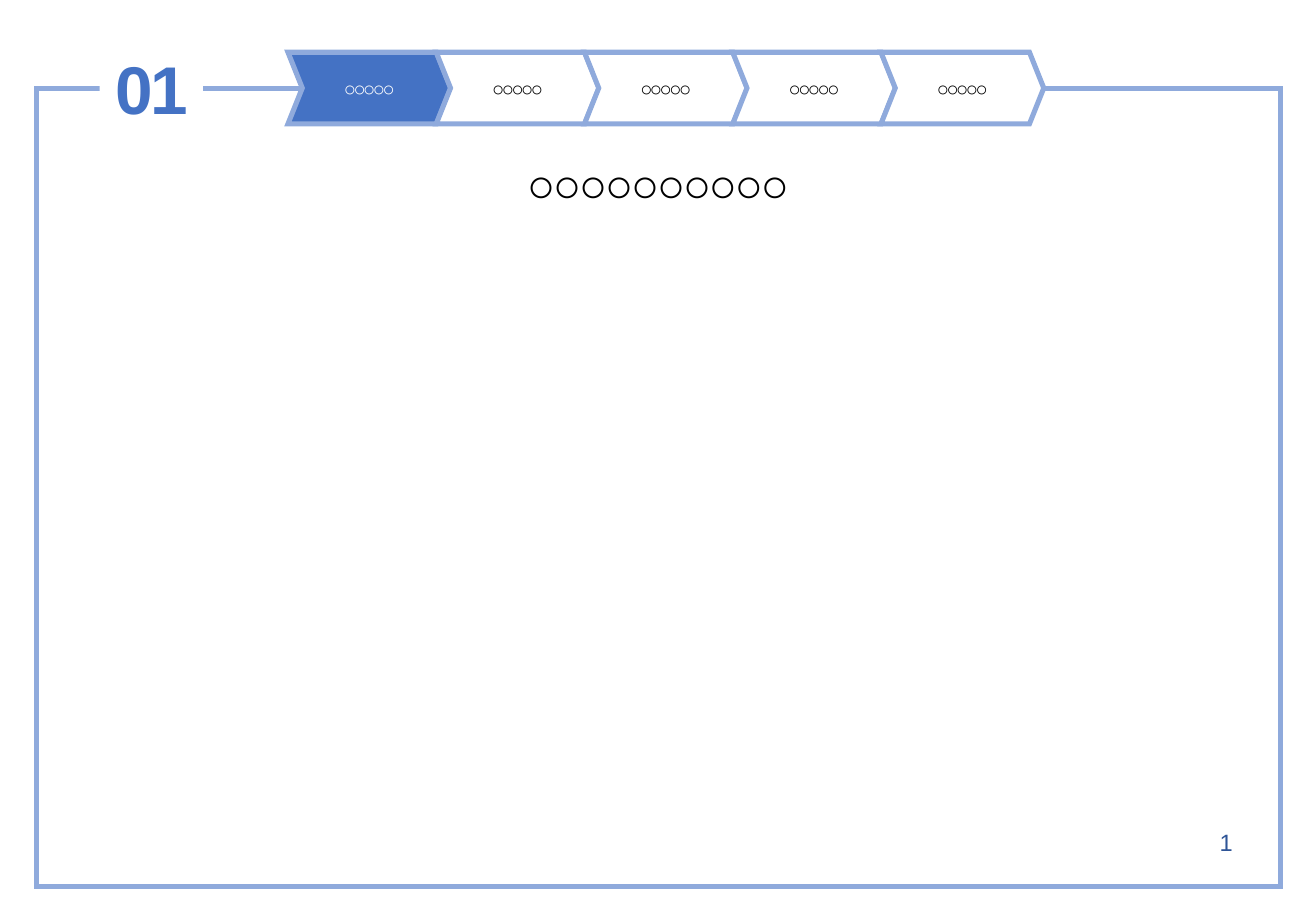
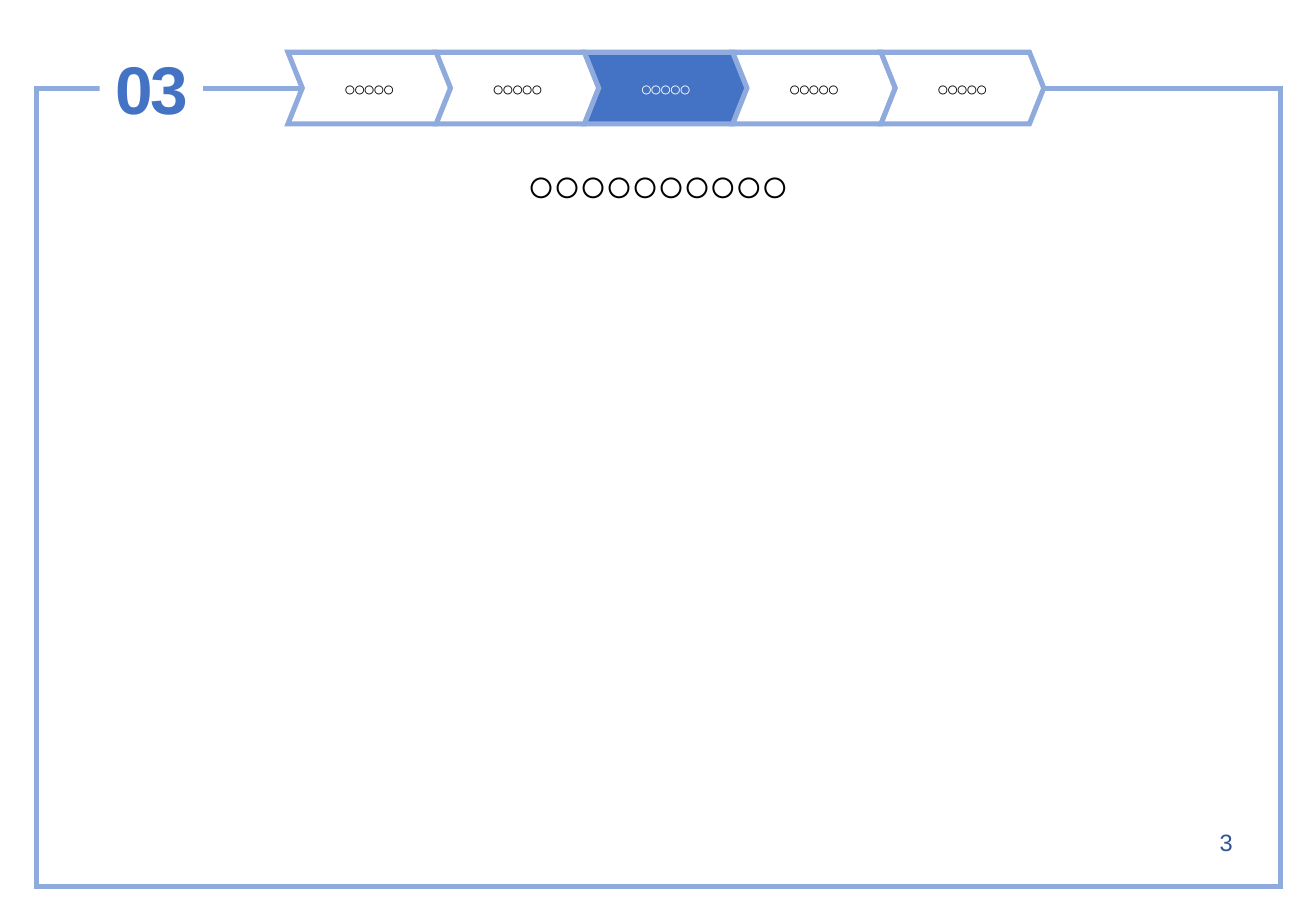
"""Build two section slides with a five-step progress band."""
from dataclasses import dataclass

import pptx
import pptx.dml.color
import pptx.enum.shapes
import pptx.enum.text
import pptx.oxml
import pptx.oxml.ns
import pptx.util

EMU_PER_PX = 9144
FONT = "Arial"
WHITE, BLACK = "FFFFFF", "000000"
ACCENT, OUTLINE, FOOTER = "4472C4", "8FAADC", "2F5597"
STEPS = ["○○○○○"] * 5
STEP_PITCH = 122
Shapes = pptx.enum.shapes.MSO_SHAPE
Anchor = pptx.enum.text.MSO_ANCHOR


@dataclass(frozen=True)
class Area:
    left: int
    top: int
    width: int
    height: int


@dataclass(frozen=True)
class TextStyle:
    size: int
    color: str
    bold: bool = True


@dataclass(frozen=True)
class Section:
    number: int
    title: str


FRAME = Area(30, 73, 1024, 657)
TITLE = Area(280, 123, 523, 57)
FIRST_STEP = Area(237, 43, 134, 59)
BADGE = Area(82, 34, 85, 77)
PAGE_NUMBER = Area(979, 677, 60, 34)
SECTIONS = [Section(1, "○○○○○○○○○○"), Section(3, "○○○○○○○○○○")]


def px(length: int) -> pptx.util.Emu:
    return pptx.util.Emu(length * EMU_PER_PX)


def rgb(color: str) -> pptx.dml.color.RGBColor:
    return pptx.dml.color.RGBColor.from_string(color)


def bounds(area: Area) -> tuple:
    return px(area.left), px(area.top), px(area.width), px(area.height)


def write(box, text: str, style: TextStyle, anchor=Anchor.TOP) -> None:
    frame = box.text_frame
    frame.word_wrap = True
    frame.vertical_anchor = anchor
    para = frame.paragraphs[0]
    para.alignment = pptx.enum.text.PP_ALIGN.CENTER
    para.font.name = FONT
    para.font.size = pptx.util.Pt(style.size)
    para.font.bold = style.bold
    para.font.color.rgb = rgb(style.color)
    span = para.add_run()
    span.text = text
    span._r.get_or_add_rPr().set("spc", "-150")


def add_box(page, kind, area: Area, fill: str = "", line: str = ""):
    box = page.shapes.add_shape(kind, *bounds(area))
    box.shadow.inherit = False
    if fill:
        box.fill.solid()
        box.fill.fore_color.rgb = rgb(fill)
    else:
        box.fill.background()
    if line:
        box.line.color.rgb = rgb(line)
        box.line.width = pptx.util.Pt(3)
        miter = pptx.oxml.parse_xml(f'<a:miter {pptx.oxml.ns.nsdecls("a")} lim="800000"/>')
        box.line._get_or_add_ln().append(miter)
    else:
        box.line.fill.background()
    return box


def add_progress(page, current: int) -> None:
    for index, label in enumerate(STEPS):
        active = index + 1 == current
        area = Area(FIRST_STEP.left + index * STEP_PITCH, FIRST_STEP.top,
                    FIRST_STEP.width, FIRST_STEP.height)
        step = add_box(page, Shapes.CHEVRON, area, ACCENT if active else WHITE, OUTLINE)
        step.adjustments[0] = 0.2
        frame = step.text_frame
        frame.margin_left = frame.margin_right = 0
        write(step, label, TextStyle(12, WHITE if active else BLACK), Anchor.MIDDLE)


def add_section(deck, section: Section) -> None:
    page = deck.slides.add_slide(deck.slide_layouts[5])
    title = page.shapes.title
    title.left, title.top, title.width, title.height = bounds(TITLE)
    title.text_frame.auto_size = pptx.enum.text.MSO_AUTO_SIZE.SHAPE_TO_FIT_TEXT
    write(title, section.title, TextStyle(28, BLACK))
    add_box(page, Shapes.RECTANGLE, FRAME, line=OUTLINE)
    add_progress(page, section.number)
    badge = add_box(page, Shapes.RECTANGLE, BADGE, WHITE)
    write(badge, f"{section.number:02d}", TextStyle(40, ACCENT))
    number = page.shapes.add_textbox(*bounds(PAGE_NUMBER))
    write(number, str(section.number), TextStyle(14, FOOTER, bold=False))


def main() -> None:
    deck = pptx.Presentation()
    deck.slide_width, deck.slide_height = px(1083), px(750)
    for section in SECTIONS:
        add_section(deck, section)
    deck.save("out.pptx")


if __name__ == "__main__":
    main()
